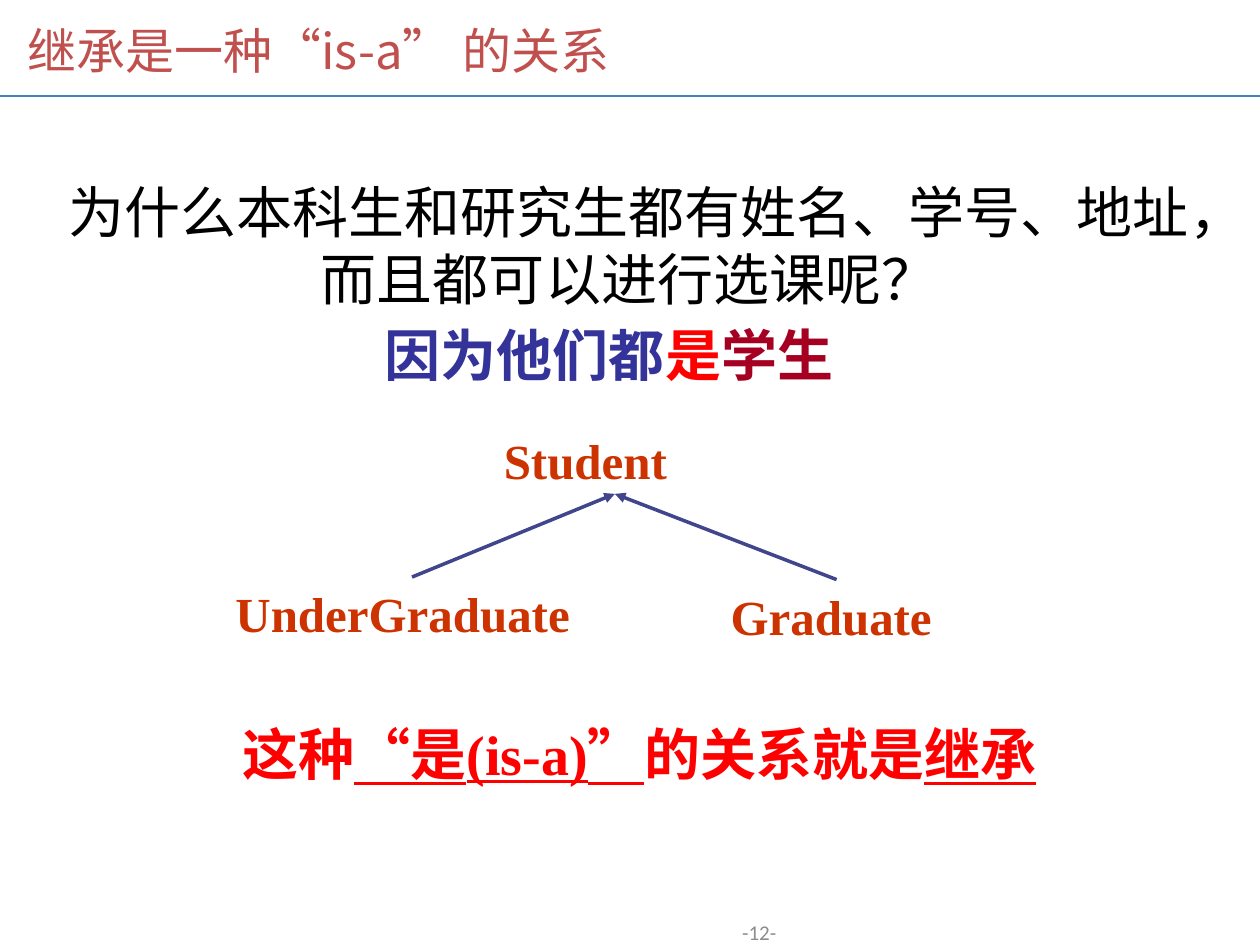
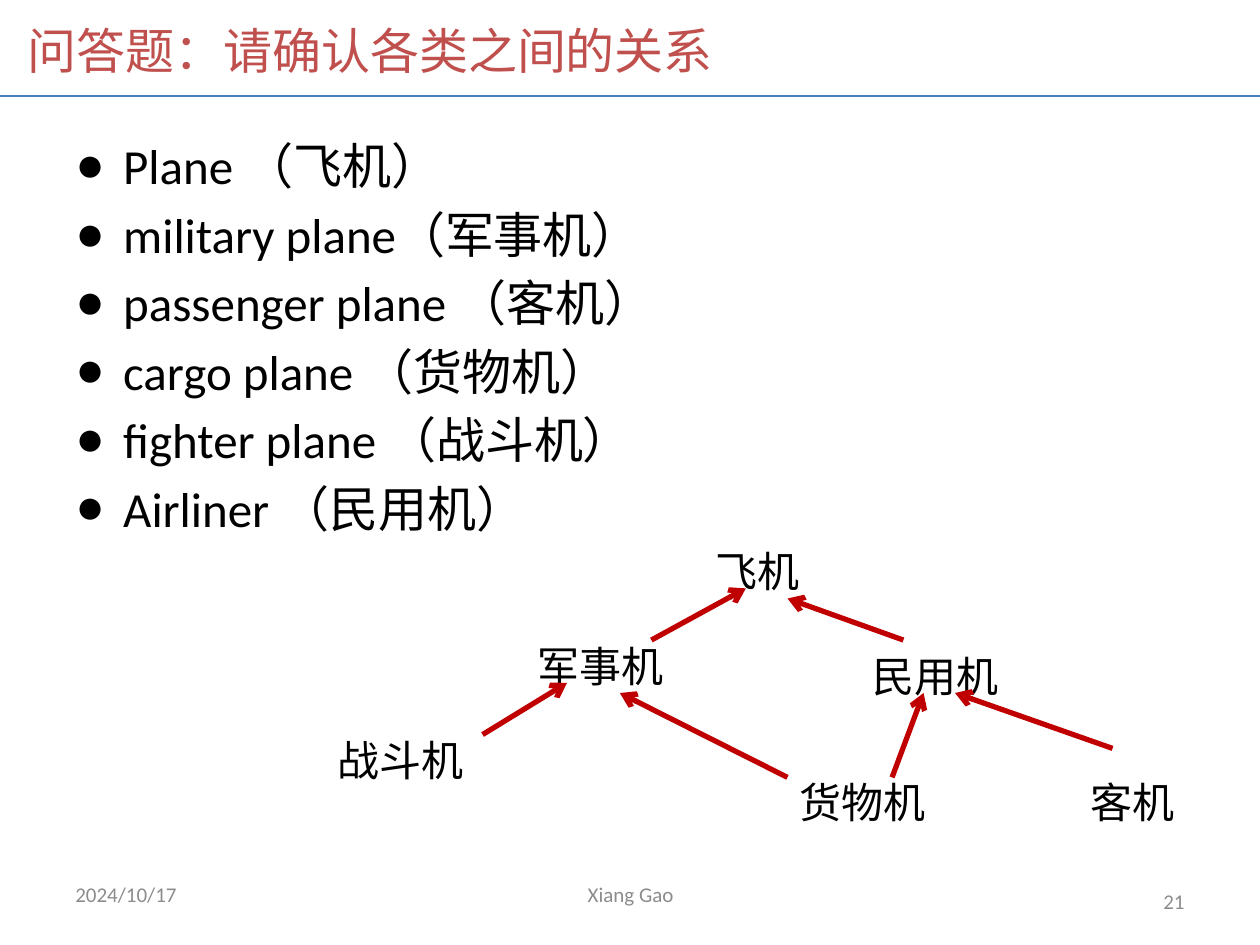
import pptx
import pptx.util
import pptx.dml.color
import pptx.enum.shapes
import pptx.enum.text
import pptx.oxml.ns
from dataclasses import dataclass
from lxml import etree

PX = 9144  # EMU in one px; a slide is 1000 x 750 px
Pt = pptx.util.Pt
RGB = pptx.dml.color.RGBColor.from_string
ALIGN = pptx.enum.text.PP_ALIGN
ANCHOR = pptx.enum.text.MSO_ANCHOR
qn = pptx.oxml.ns.qn


@dataclass(frozen=True)
class Theme:
    title: str = "C0504D"
    rule: str = "4B7EBC"
    ink: str = "000000"
    muted: str = "8C8C8C"
    reason: str = "333399"
    stress: str = "FF0000"
    kind: str = "A50021"
    class_name: str = "CC3300"
    inherit_arrow: str = "40458C"
    plane_arrow: str = "C00000"
    cjk: str = "Noto Sans CJK SC"
    serif: str = "Times New Roman"
    sans: str = "Calibri"
    narrow: str = "Arial Narrow"
    big: int = 32
    medium: int = 28
    small: int = 24
    footer: int = 12


theme = Theme()


def write(slide, text, box, shape=None, size=theme.footer, font=theme.sans, color=theme.muted,
          bold=False, align=ALIGN.LEFT, anchor=ANCHOR.TOP, leading=None, before=0, bullet=None):
    """Write paragraphs; each is a string or a list of (text, colour, underlined) runs."""
    left, top, width, height = (length * PX for length in box)
    if shape is None:
        shape = slide.shapes.add_textbox(left, top, width, height)
    else:
        shape.left, shape.top, shape.width, shape.height = left, top, width, height
    frame = shape.text_frame
    frame.word_wrap = True
    frame.auto_size = pptx.enum.text.MSO_AUTO_SIZE.NONE
    frame.vertical_anchor = anchor
    for index, content in enumerate([text] if isinstance(text, str) else text):
        paragraph = frame.add_paragraph() if index else frame.paragraphs[0]
        paragraph.alignment = align
        paragraph.space_before = Pt(before if index else 0)
        if leading:
            paragraph.line_spacing = Pt(leading)
        if bullet:
            properties = paragraph._p.get_or_add_pPr()
            properties.set("marL", str(38 * PX))
            properties.set("indent", str(-38 * PX))
            bullet_color = etree.SubElement(properties, qn("a:buClr"))
            etree.SubElement(bullet_color, qn("a:srgbClr"), val=color)
            etree.SubElement(properties, qn("a:buFont"), typeface=theme.serif)
            etree.SubElement(properties, qn("a:buChar"), char=bullet)
        runs = [(content, color, False)] if isinstance(content, str) else content
        for words, run_color, underlined in runs:
            run = paragraph.add_run()
            run.text = words
            run.font.size = Pt(size)
            run.font.name = font
            run.font.bold = bold
            run.font.underline = underlined
            run.font.color.rgb = RGB(run_color)
            etree.SubElement(run._r.get_or_add_rPr(), qn("a:ea"), typeface=theme.cjk)


def link(slide, start, end, color, weight, arrow=None):
    ends = [length * PX for length in (*start, *end)]
    connector = slide.shapes.add_connector(pptx.enum.shapes.MSO_CONNECTOR.STRAIGHT, *ends)
    connector.line.color.rgb = RGB(color)
    connector.line.width = Pt(weight)
    if arrow:
        etree.SubElement(connector.line._get_or_add_ln(), qn("a:tailEnd"), type=arrow)
    etree.SubElement(connector._element.spPr, qn("a:effectLst"))


deck = pptx.Presentation()
deck.slide_width, deck.slide_height = 1000 * PX, 750 * PX

# Shared header: title above a full-width rule
for heading in ("继承是一种“is-a” 的关系", "问答题：请确认各类之间的关系"):
    slide = deck.slides.add_slide(deck.slide_layouts[5])
    link(slide, (0, 76), (1000, 76), theme.rule, 1)
    write(slide, heading, (12, 5, 945, 69), shape=slide.shapes.title, size=theme.medium,
          font=theme.cjk, color=theme.title, anchor=ANCHOR.MIDDLE)
inheritance, quiz = deck.slides

# Inheritance as an "is-a" relation
statement = dict(size=theme.big, font=theme.serif, align=ALIGN.CENTER)
write(inheritance, "为什么本科生和研究生都有姓名、学号、地址，而且都可以进行选课呢？",
      (43, 136, 913, 118), color=theme.ink, leading=38.3, **statement)
answer = [("因为他们都", theme.reason, False), ("是", theme.stress, False),
          ("学生", theme.kind, False)]
conclusion = [("这种", theme.stress, False), ("“是(is-a)”", theme.stress, True),
              ("的关系就是", theme.stress, False), ("继承", theme.stress, True)]
for sentence, left, top in ((answer, 27, 256), (conclusion, 51, 572)):
    write(inheritance, [sentence], (left, top, 913, 53), bold=True, leading=34, **statement)

for class_name, left, top, width in (("Student", 390, 336, 197),
                                     ("UnderGraduate", 177, 458, 299),
                                     ("Graduate", 570, 460, 188)):
    write(inheritance, class_name, (left, top, width, 57), size=theme.medium,
          font=theme.serif, color=theme.class_name, bold=True, leading=34)
for subclass in ((327, 458), (664, 460)):
    link(inheritance, subclass, (488, 392), theme.inherit_arrow, 2, "triangle")
write(inheritance, "-12-", (393, 727, 233, 26), align=ALIGN.RIGHT, anchor=ANCHOR.MIDDLE)

# Quiz: plane classes and their hierarchy
planes = ["Plane （飞机）", "military plane（军事机）", "passenger plane （客机）",
          "cargo plane （货物机）", "fighter plane （战斗机）", "Airliner （民用机）"]
write(quiz, planes, (50, 103, 900, 495), size=theme.medium, color=theme.ink,
      leading=33.5, before=5.6, bullet="●")

for plane, left, top, width in (("飞机", 558, 425, 167), ("军事机", 417, 500, 183),
                                ("民用机", 683, 508, 200), ("战斗机", 258, 575, 217),
                                ("货物机", 625, 608, 175), ("客机", 856, 608, 100)):
    write(quiz, plane, (left, top, width, 50), size=theme.small, font=theme.narrow,
          color=theme.ink, leading=31)
for child, parent in (((517, 508), (592, 467)), ((383, 583), (450, 542)),
                      ((717, 508), (625, 475)), ((708, 617), (733, 550)),
                      ((883, 594), (758, 550)), ((625, 617), (492, 550))):
    link(quiz, child, parent, theme.plane_arrow, 3, "arrow")

for note, left, width, align, anchor in (
        ("2024/10/17", 50, 233, ALIGN.LEFT, ANCHOR.TOP),
        ("Xiang Gao", 342, 317, ALIGN.CENTER, ANCHOR.TOP),
        ("21", 717, 233, ALIGN.RIGHT, ANCHOR.MIDDLE)):
    write(quiz, note, (left, 695, width, 40), align=align, anchor=anchor)

deck.save("out.pptx")
